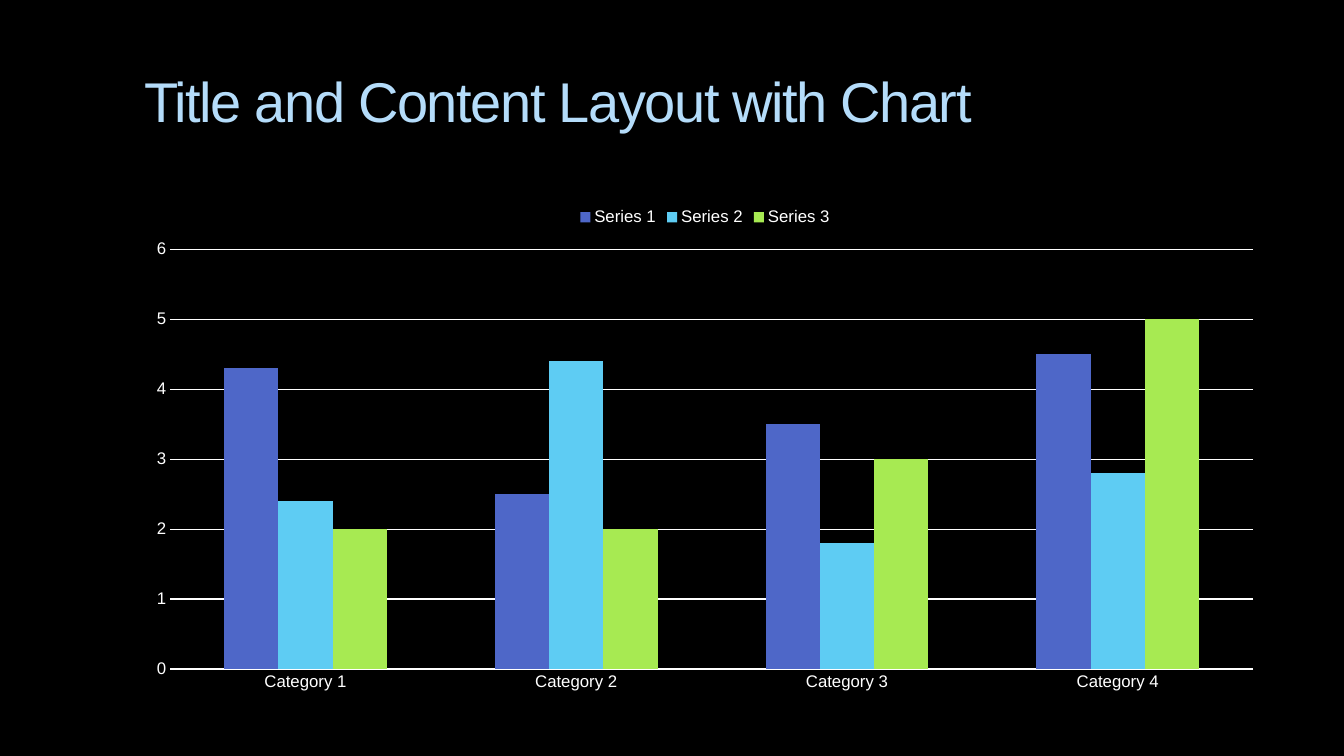
from pptx import Presentation
from pptx.chart.data import CategoryChartData
from pptx.dml.color import RGBColor
from pptx.enum.chart import XL_CHART_TYPE, XL_LEGEND_POSITION, XL_TICK_MARK
from pptx.enum.text import MSO_ANCHOR
from pptx.util import Emu, Pt

EMU_PER_PIXEL = 914400 / 100.8
COLORS = {
    "background": "000000",
    "title": "B4DCFA",
    "chart text": "FFFFFF",
    "Series 1": "4E67C8",
    "Series 2": "5ECCF3",
    "Series 3": "A7EA52",
}
CATEGORIES = ["Category 1", "Category 2", "Category 3", "Category 4"]
SERIES = {
    "Series 1": (4.3, 2.5, 3.5, 4.5),
    "Series 2": (2.4, 4.4, 1.8, 2.8),
    "Series 3": (2, 2, 3, 5),
}


def pixels(*lengths):
    return [Emu(round(length * EMU_PER_PIXEL)) for length in lengths]


def color(name):
    return RGBColor.from_string(COLORS[name])


class SlideBuilder:
    font_name = "Arial"

    def __init__(self, slide):
        self.slide = slide

    def background(self, color_name):
        fill = self.slide.background.fill
        fill.solid()
        fill.fore_color.rgb = color(color_name)

    def style_font(self, font, size, color_name):
        font.name = self.font_name
        font.size = Pt(size)
        font.color.rgb = color(color_name)

    def style_line(self, line, color_name):
        line.color.rgb = color(color_name)
        line.width = Pt(0.75)

    def title(self, text, left, top, width, height):
        shape = self.slide.shapes.add_textbox(*pixels(left, top, width, height))
        text_frame = shape.text_frame
        text_frame.word_wrap = True
        text_frame.vertical_anchor = MSO_ANCHOR.TOP
        text_frame.margin_left, text_frame.margin_top = pixels(10, 11)
        text_frame.text = text
        run = text_frame.paragraphs[0].runs[0]
        self.style_font(run.font, 40, "title")
        run.font._element.set("spc", "-100")

    def column_chart(self, categories, series_values, left, top, width, height):
        data = CategoryChartData()
        data.categories = categories
        for name, values in series_values.items():
            data.add_series(name, values)
        chart = self.slide.shapes.add_chart(
            XL_CHART_TYPE.COLUMN_CLUSTERED, *pixels(left, top, width, height), data
        ).chart
        self.style_font(chart.font, 10, "chart text")
        chart.has_title = False

        # Legend
        chart.has_legend = True
        chart.legend.position = XL_LEGEND_POSITION.TOP
        chart.legend.include_in_layout = False
        self.style_font(chart.legend.font, 12, "chart text")

        # Axes
        for axis in (chart.category_axis, chart.value_axis):
            axis.major_tick_mark = XL_TICK_MARK.NONE
            axis.minor_tick_mark = XL_TICK_MARK.NONE
            self.style_font(axis.tick_labels.font, 12, "chart text")
        self.style_line(chart.category_axis.format.line, "chart text")
        value_axis = chart.value_axis
        value_axis.minimum_scale, value_axis.maximum_scale = 0, 6
        value_axis.major_unit = 1
        value_axis.format.line.fill.background()
        value_axis.has_major_gridlines = True
        self.style_line(value_axis.major_gridlines.format.line, "chart text")

        # Columns
        plot = chart.plots[0]
        plot.gap_width = 199
        plot.overlap = 0
        plot.vary_by_categories = False
        for series in plot.series:
            series.format.fill.solid()
            series.format.fill.fore_color.rgb = color(series.name)


presentation = Presentation()
presentation.slide_width, presentation.slide_height = pixels(1344, 756)
builder = SlideBuilder(presentation.slides.add_slide(presentation.slide_layouts[6]))

builder.background("background")
builder.title("Title and Content Layout with Chart", 134, 56, 1142, 101)
builder.column_chart(CATEGORIES, SERIES, 134, 197, 1142, 504)

presentation.save("out.pptx")
